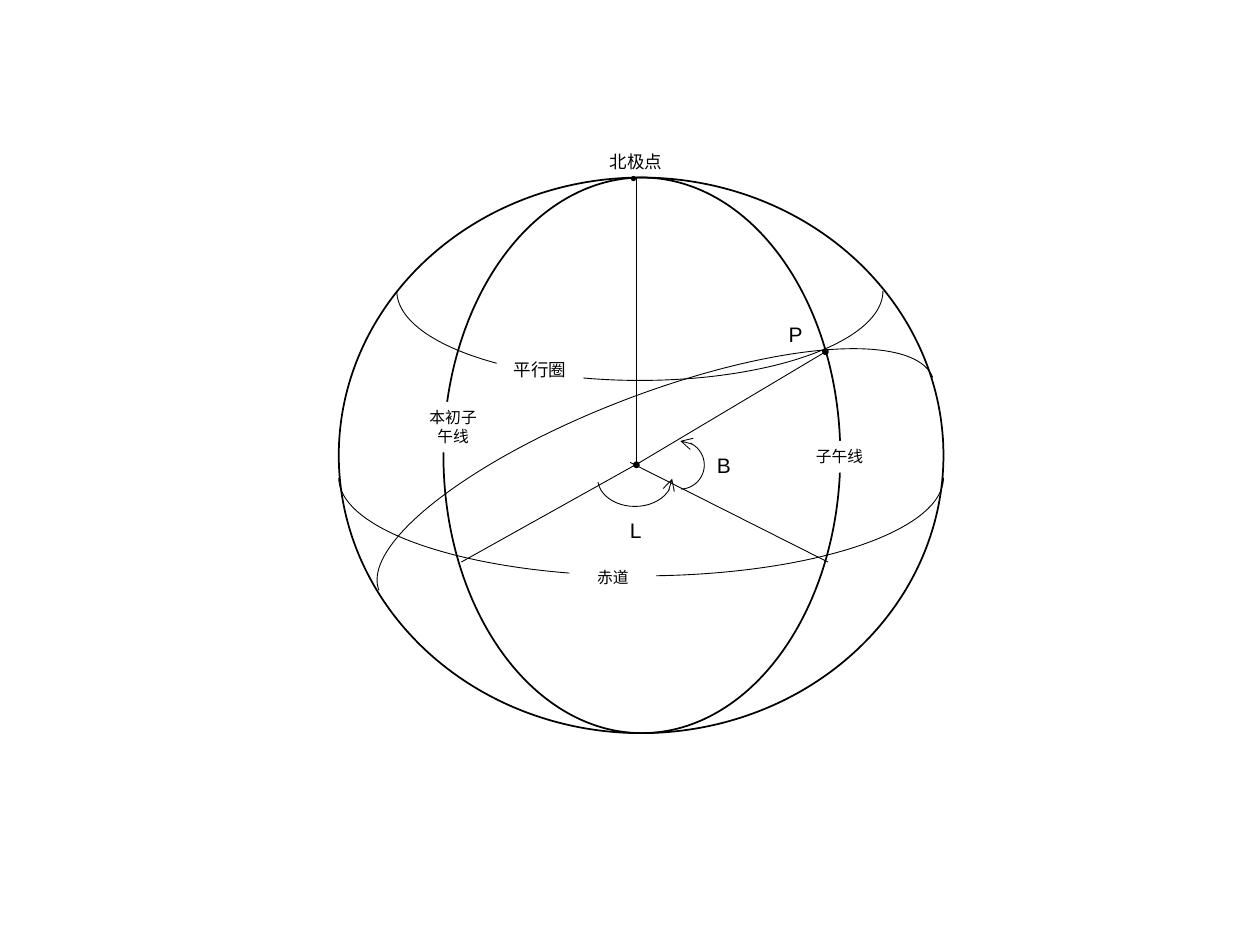
from dataclasses import dataclass

from lxml.etree import SubElement
from pptx import Presentation
from pptx.dml.color import RGBColor
from pptx.enum.shapes import MSO_CONNECTOR, MSO_SHAPE
from pptx.enum.text import MSO_ANCHOR, MSO_AUTO_SIZE, PP_ALIGN
from pptx.oxml.ns import qn
from pptx.util import Cm, Pt


@dataclass(frozen=True)
class Theme:
    ink: RGBColor = RGBColor(0, 0, 0)
    paper: RGBColor = RGBColor(255, 255, 255)
    font: str = "Arial"
    bold_line: float = 1
    thin_line: float = 0.5
    dot_size: float = 7
    small: float = 9
    medium: float = 10
    large: float = 12


THEME = Theme()

# All places are in centimetres: left, top, width, height.
OUTLINES = [
    (6.83, 3.58, 12.19, 11.2),  # sphere
    (8.94, 3.58, 8.0, 11.2),  # meridians
]
# box, start angle, end angle (clockwise from the right), rotation, arrow at start
ARCS = [
    ((6.83, 7.65, 12.19, 3.96), 0, 180, 0, False),  # equator
    ((8.0, 4.06, 9.8, 3.61), 0, 180, 0, False),  # parallel
    ((12.05, 9.09, 1.5, 1.12), 0, 175, 0, True),  # longitude L
    ((13.23, 8.89, 0.97, 0.97), 270, 88, 0, True),  # latitude B
    ((7.24, 7.95, 11.96, 3.61), 0, 180, 159, False),  # tilted circle
]
# from x, y, to x, y
RADII = [
    (12.83, 3.58, 12.83, 9.32),
    (12.7, 9.32, 16.69, 11.33),
    (9.3, 11.33, 12.9, 9.32),
    (12.85, 9.35, 16.61, 7.11),
]
DOTS = [(12.78, 9.32, 0.1, 0.1), (16.59, 7.04, 0.1, 0.1)]
FREE_LABELS = [
    ("●", (12.45, 3.3, 0.79, 0.56), THEME.dot_size),
    ("北极点", (12.04, 2.92, 2.77, 0.69), THEME.medium),
    ("L", (12.45, 10.31, 0.61, 0.76), THEME.large),
    ("B", (14.2, 8.99, 0.61, 0.76), THEME.large),
    ("P", (15.65, 6.35, 0.61, 0.76), THEME.large),
]
# Labels on a white ground that interrupts the curve behind them
CURVE_LABELS = [
    ("平行圈", (10.01, 7.11, 1.75, 0.69), THEME.medium),
    ("本初子午线", (8.26, 8.1, 1.75, 1.02), THEME.small),
    ("赤道", (11.48, 11.33, 1.75, 0.64), THEME.small),
    ("子午线", (16.05, 8.89, 1.75, 0.64), THEME.small),
]


def cm(values):
    return [Cm(v) for v in values]


def draw_line(line, width):
    line.color.rgb = THEME.ink
    line.width = Pt(width)


def add_shape(s, kind, box, fill=None, width=None):
    """Add a preset shape; without a fill or a line width it has none."""
    sp = s.shapes.add_shape(kind, *cm(box))
    sp.shadow.inherit = False
    if fill is None:
        sp.fill.background()
    else:
        sp.fill.solid()
        sp.fill.fore_color.rgb = fill
    if width is None:
        sp.line.fill.background()
    else:
        draw_line(sp.line, width)
    return sp


def add_arc(s, box, start, end, rotation, arrow):
    sp = add_shape(s, MSO_SHAPE.ARC, box, width=THEME.thin_line)
    for i, angle in enumerate((start, end)):
        sp.adjustments[i] = angle * 0.6  # 60000ths of a degree over 100000
    sp.rotation = rotation
    if arrow:
        ln = sp.line._get_or_add_ln()
        SubElement(ln, qn("a:headEnd"), type="arrow")


def add_radius(s, ends):
    line = s.shapes.add_connector(MSO_CONNECTOR.STRAIGHT, *cm(ends))
    draw_line(line.line, THEME.thin_line)
    SubElement(line._element.spPr, qn("a:effectLst"))


def write(sp, text, size, align):
    tf = sp.text_frame
    tf.word_wrap = True
    tf.auto_size = MSO_AUTO_SIZE.SHAPE_TO_FIT_TEXT
    tf.vertical_anchor = MSO_ANCHOR.TOP
    p = tf.paragraphs[0]
    p.alignment = align
    r = p.add_run()
    r.text = text
    r.font.name = THEME.font
    r.font.size = Pt(size)
    r.font.color.rgb = THEME.ink


def main():
    prs = Presentation()
    prs.slide_width, prs.slide_height = Cm(25.4), Cm(19.05)
    s = prs.slides.add_slide(prs.slide_layouts[6])

    for box in OUTLINES:
        add_shape(s, MSO_SHAPE.OVAL, box, width=THEME.bold_line)
    for arc in ARCS:
        add_arc(s, *arc)
    for ends in RADII:
        add_radius(s, ends)
    for box in DOTS:
        add_shape(s, MSO_SHAPE.OVAL, box, THEME.ink, THEME.bold_line)
    for text, box, size in CURVE_LABELS:
        sp = add_shape(s, MSO_SHAPE.RECTANGLE, box, THEME.paper)
        write(sp, text, size, PP_ALIGN.CENTER)
    for text, box, size in FREE_LABELS:
        write(s.shapes.add_textbox(*cm(box)), text, size, PP_ALIGN.LEFT)

    prs.save("out.pptx")


if __name__ == "__main__":
    main()
